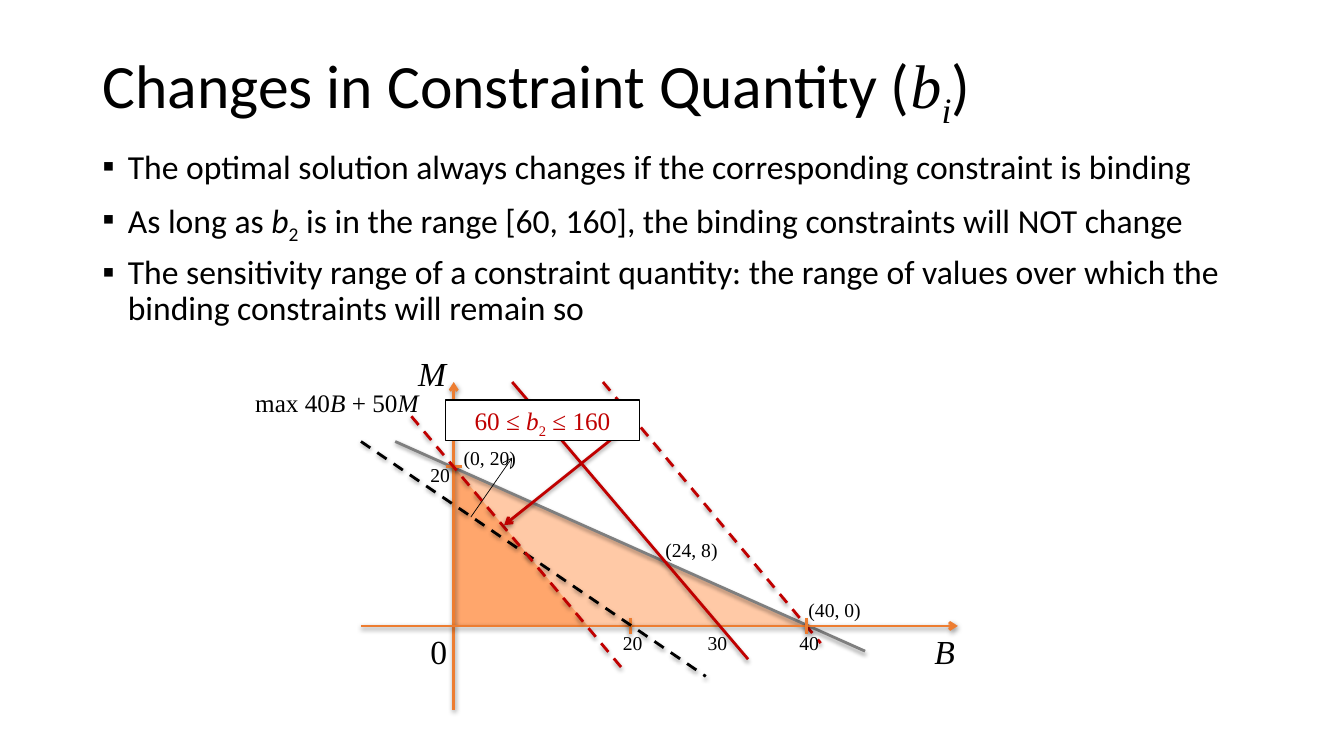
from dataclasses import dataclass

from lxml import etree
from pptx import Presentation
from pptx import util as u
from pptx.dml.color import RGBColor
from pptx.enum import dml, shapes, text
from pptx.oxml import ns


@dataclass(frozen=True)
class Theme:
    black: str = "000000"
    white: str = "FFFFFF"
    axis: str = "ED7D31"
    constraint: str = "7F7F7F"
    changing: str = "C00000"
    region: str = "FF6600"
    sans: str = "Calibri"
    serif: str = "Times New Roman"
    title: int = 44
    body: int = 24
    formula: int = 18
    small: int = 14


def add_xml(parent, tag, **attributes):
    return etree.SubElement(parent, ns.qn(tag), attributes)


class Slide:
    def __init__(self, page, theme):
        self.page = page
        self.theme = theme

    def add_spans(self, para, spans, size, font, color):
        """Fill para from (text, style) pairs; style letters: i italic, s subscript, m serif."""
        for words, style in spans:
            span = para.add_run()
            span.text = words
            span.font.size = u.Pt(size)
            span.font.name = self.theme.serif if "m" in style else font
            span.font.italic = "i" in style
            span.font.color.rgb = RGBColor.from_string(color)
            if "s" in style:
                span._r.get_or_add_rPr().set("baseline", "-25000")

    def text_box(self, left, top, width, height):
        box = self.page.shapes.add_textbox(*map(u.Inches, (left, top, width, height)))
        box.text_frame.word_wrap = True
        return box

    def title(self, spans, *place):
        frame = self.text_box(*place).text_frame
        frame.vertical_anchor = text.MSO_ANCHOR.MIDDLE
        para = frame.paragraphs[0]
        para.line_spacing = 0.9
        self.add_spans(para, spans, self.theme.title, self.theme.sans, self.theme.black)

    def bullets(self, items, *place):
        frame = self.text_box(*place).text_frame
        for index, spans in enumerate(items):
            para = frame.add_paragraph() if index else frame.paragraphs[0]
            properties = para._p.get_or_add_pPr()
            properties.set("marL", str(u.Inches(0.25)))
            properties.set("indent", str(u.Inches(-0.25)))
            add_xml(properties, "a:buFont", typeface=self.theme.sans)
            add_xml(properties, "a:buChar", char="▪")
            para.line_spacing = 0.9
            para.space_before = u.Pt(10 if index else 0)
            self.add_spans(para, spans, self.theme.body, self.theme.sans, self.theme.black)

    def label(self, spans, left, top, width, height, size, align=text.PP_ALIGN.LEFT):
        frame = self.text_box(left, top, width, height).text_frame
        frame.auto_size = text.MSO_AUTO_SIZE.SHAPE_TO_FIT_TEXT
        para = frame.paragraphs[0]
        para.alignment = align
        self.add_spans(para, spans, size, self.theme.serif, self.theme.black)

    def shape(self, kind, place, color):
        shape = self.page.shapes.add_shape(kind, *map(u.Inches, place))
        shape.shadow.inherit = False
        shape.fill.solid()
        shape.fill.fore_color.rgb = RGBColor.from_string(color)
        shape.line.fill.background()
        return shape

    def region(self, *place):
        triangle = self.shape(shapes.MSO_SHAPE.RIGHT_TRIANGLE, place, self.theme.region)
        tint = triangle._element.spPr.find(".//" + ns.qn("a:srgbClr"))
        add_xml(tint, "a:alpha", val="35000")

    def callout(self, spans, *place):
        box = self.shape(shapes.MSO_SHAPE.RECTANGLE, place, self.theme.white)
        box.line.color.rgb = RGBColor.from_string(self.theme.black)
        box.line.width = u.Pt(1)
        frame = box.text_frame
        frame.word_wrap = True
        frame.auto_size = text.MSO_AUTO_SIZE.SHAPE_TO_FIT_TEXT
        frame.vertical_anchor = text.MSO_ANCHOR.TOP
        para = frame.paragraphs[0]
        para.alignment = text.PP_ALIGN.CENTER
        self.add_spans(para, spans, self.theme.formula, self.theme.serif, self.theme.changing)

    def line(self, start, end, color, width=2, dashed=False, arrows=(), shadow=True):
        """Draw a line; arrows names the ends that carry a head: headEnd, tailEnd."""
        line = self.page.shapes.add_connector(
            shapes.MSO_CONNECTOR.STRAIGHT, *map(u.Inches, (*start, *end)))
        line.line.color.rgb = RGBColor.from_string(color)
        line.line.width = u.Pt(width)
        if dashed:
            line.line.dash_style = dml.MSO_LINE.DASH
        properties = line._element.spPr
        for arrow in arrows:
            add_xml(properties.find(ns.qn("a:ln")), "a:" + arrow, type="arrow")
        effects = add_xml(properties, "a:effectLst")
        if shadow:
            outer = add_xml(effects, "a:outerShdw", blurRad="40000", dist="20000",
                            dir="5400000", rotWithShape="0")
            tint = add_xml(outer, "a:srgbClr", val=self.theme.black)
            add_xml(tint, "a:alpha", val="38000")


def draw_graph(slide):
    theme = slide.theme
    origin_x, origin_y = 4.5, 6.21
    top_y = 4.63
    tick = 0.08

    for width in (3.5, 1.33):
        slide.region(origin_x, top_y, width, origin_y - top_y)
    slide.label([("B", "i")], 9.17, origin_y, 0.83, 0.51, theme.body)
    slide.label([("0", "")], 4.17, origin_y, 0.5, 0.5, theme.body)
    slide.label([("M", "i")], 4.05, 3.45, 0.83, 0.51, theme.body)

    slide.line((3.92, 4.38), (8.58, 6.46), theme.constraint)
    slide.line((5.98, 3.79), (8.14, 6.38), theme.changing, dashed=True)
    slide.line((origin_x, 7.04), (origin_x, 3.79), theme.axis, arrows=["tailEnd"])
    slide.line((3.58, origin_y), (9.5, origin_y), theme.axis, arrows=["tailEnd"])
    slide.line((origin_x - tick, top_y), (origin_x + tick, top_y), theme.axis)
    for x in (6.25, 8):
        slide.line((x, origin_y - tick), (x, origin_y + tick), theme.axis)

    for number, left, top in (("20", 6.08, origin_y), ("40", 7.83, origin_y),
                              ("30", 6.92, origin_y), ("20", 4.17, 4.54)):
        slide.label([(number, "")], left, top, 0.42, 0.34, theme.small)

    slide.line((4.67, 5.13), (5.08, 4.54), theme.black, 0.5,
               arrows=["tailEnd"], shadow=False)
    slide.label([("max 40", ""), ("B", "i"), (" + 50", ""), ("M", "i")],
                1.92, 3.79, 2.33, 0.4, theme.formula, text.PP_ALIGN.RIGHT)
    slide.line((3.58, 4.38), (7, 6.71), theme.black, dashed=True)
    slide.line((4.08, 4.13), (6.17, 6.63), theme.changing, dashed=True)
    slide.line((5, 5.21), (6.25, 4.21), theme.changing, arrows=["headEnd", "tailEnd"])
    slide.line((5.08, 3.79), (7.42, 6.54), theme.changing)
    slide.callout([("60 ≤ ", ""), ("b", "i"), ("2", "s"), (" ≤ 160", "")],
                  4.42, 3.97, 1.92, 0.4)

    for point, left, top in (("(24, 8)", 6.5, 5.29), ("(40, 0)", 7.92, 5.88),
                             ("(0, 20)", 4.5, 4.37)):
        slide.label([(point, "")], left, top, 0.75, 0.34, theme.small)


def main():
    deck = Presentation()
    deck.slide_width, deck.slide_height = u.Inches(13.33), u.Inches(7.5)
    slide = Slide(deck.slides.add_slide(deck.slide_layouts[6]), Theme())
    draw_graph(slide)
    slide.title([("Changes in Constraint Quantity (", ""), ("b", "im"), ("i", "ims"),
                 (")", "")], 0.92, 0.4, 11.5, 0.9)
    slide.bullets([
        [("The optimal solution always changes if the corresponding constraint is binding", "")],
        [("As long as ", ""), ("b", "i"), ("2", "s"),
         (" is in the range [60, 160], the binding constraints will NOT change", "")],
        [("The sensitivity range of a constraint quantity: the range of values over "
          "which the binding constraints will remain so", "")],
    ], 0.92, 1.44, 11.5, 2.27)
    deck.save("out.pptx")


if __name__ == "__main__":
    main()
